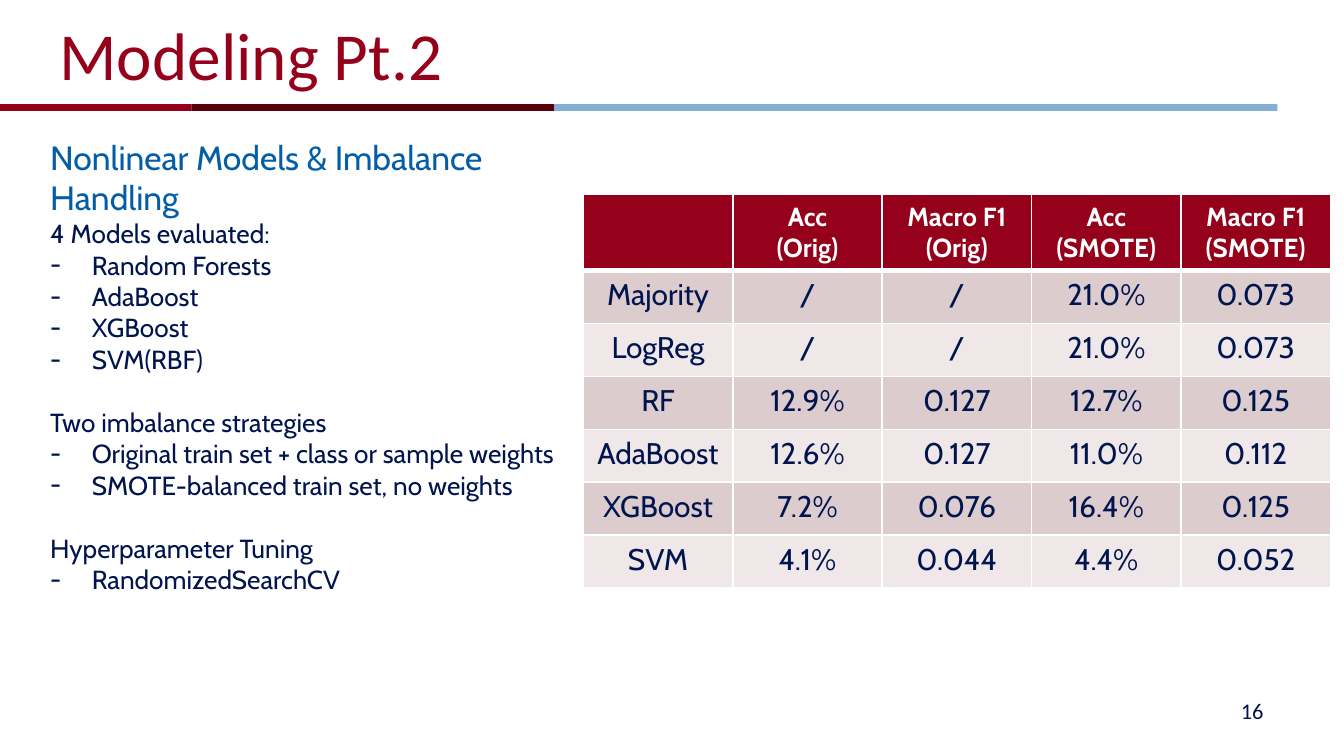
from lxml.etree import SubElement
from pptx import Presentation
from pptx.dml.color import RGBColor
from pptx.enum.shapes import MSO_SHAPE
from pptx.enum.text import MSO_ANCHOR, PP_ALIGN
from pptx.oxml.ns import qn
from pptx.util import Pt

PX = 4572
COLORS = {
    "crimson": "95001A",
    "maroon": "57000A",
    "sky": "82AFD3",
    "blue": "045EA7",
    "navy": "00144D",
    "white": "FFFFFF",
    "band_dark": "DDCCCD",
    "band_light": "EFE7E8",
}
BAR = [("crimson", 286), ("maroon", 540), ("sky", 1076)]
HEADER_BORDERS = {"a:lnL": 1, "a:lnR": 1, "a:lnT": 1, "a:lnB": 3}
HEADING = "Nonlinear Models & Imbalance Handling"
SECTIONS = [
    ("4 Models evaluated:", ["Random Forests", "AdaBoost", "XGBoost", "SVM(RBF)"]),
    ("Two imbalance strategies", ["Original train set + class or sample weights",
                                  "SMOTE-balanced train set, no weights"]),
    ("Hyperparameter Tuning", ["RandomizedSearchCV"]),
]
RESULTS = [
    ["", "Acc\n(Orig)", "Macro F1\n(Orig)", "Acc (SMOTE)", "Macro F1\n(SMOTE)"],
    ["Majority", "/", "/", "21.0%", "0.073"],
    ["LogReg", "/", "/", "21.0%", "0.073"],
    ["RF", "12.9%", "0.127", "12.7%", "0.125"],
    ["AdaBoost", "12.6%", "0.127", "11.0%", "0.112"],
    ["XGBoost", "7.2%", "0.076", "16.4%", "0.125"],
    ["SVM", "4.1%", "0.044", "4.4%", "0.052"],
]


def emu(*lengths):
    """Turn px lengths into EMU."""
    return [n * PX for n in lengths]


def rgb(name):
    """Look up a named colour."""
    return RGBColor.from_string(COLORS[name])


def style(p, size, color, font="Cabin", bold=False):
    """Format every run of a paragraph."""
    for r in p.runs:
        r.font.size, r.font.name, r.font.bold = Pt(size), font, bold
        r.font.color.rgb = rgb(color)


def add_box(s, x, y, w, h, anchor):
    """Add a wrapping text box and return its text frame."""
    tf = s.shapes.add_textbox(*emu(x, y, w, h)).text_frame
    tf.word_wrap = True
    tf.vertical_anchor = anchor
    return tf


def add_label(s, x, y, w, h, text, size, color, align):
    """Add a single line of Calibri text centred vertically."""
    p = add_box(s, x, y, w, h, MSO_ANCHOR.MIDDLE).paragraphs[0]
    p.text = text
    p.alignment = align
    style(p, size, color, "Calibri")


def add_bar(s, x, y, h):
    """Add the coloured segments of the rule end to end."""
    for color, w in BAR:
        sp = s.shapes.add_shape(MSO_SHAPE.RECTANGLE, *emu(x, y, w, h))
        sp.shadow.inherit = False
        sp.fill.solid()
        sp.fill.fore_color.rgb = rgb(color)
        sp.line.fill.background()
        x += w


def add_dash(p, indent):
    """Give a paragraph a hanging dash bullet."""
    pPr = p._p.get_or_add_pPr()
    pPr.set("marL", str(indent * PX))
    pPr.set("indent", str(-indent * PX))
    SubElement(pPr, qn("a:buFont"), typeface="Cabin")
    SubElement(pPr, qn("a:buChar"), char="-")


def add_notes_column(s, x, y, w, h):
    """Add the heading and the dashed sections."""
    tf = add_box(s, x, y, w, h, MSO_ANCHOR.TOP)
    tf.text = HEADING
    style(tf.paragraphs[0], 18, "blue")
    for i, (title, items) in enumerate(SECTIONS):
        p = tf.add_paragraph()
        p.text = title
        if i:
            p.space_before = Pt(17)
        style(p, 14, "navy")
        for item in items:
            p = tf.add_paragraph()
            add_dash(p, 62)
            p.text = item
            style(p, 14, "navy")


def add_header_borders(cell):
    """Outline a header cell in white with a heavy bottom edge."""
    tcPr = cell._tc.get_or_add_tcPr()
    for tag, width in HEADER_BORDERS.items():
        ln = SubElement(tcPr, qn(tag), w=str(Pt(width)))
        fill = SubElement(ln, qn("a:solidFill"))
        SubElement(fill, qn("a:srgbClr"), val=COLORS["white"])


def add_results_table(s, x, y, w, h):
    """Add the table of scores with a header and banded rows."""
    frame = s.shapes.add_table(len(RESULTS), len(RESULTS[0]), *emu(x, y, w, h))
    for i, row in enumerate(RESULTS):
        fill = ("band_light", "band_dark")[i % 2] if i else "crimson"
        for j, text in enumerate(row):
            cell = frame.table.cell(i, j)
            if i == 0:
                add_header_borders(cell)
            cell.fill.solid()
            cell.fill.fore_color.rgb = rgb(fill)
            cell.text_frame.text = text
            for p in cell.text_frame.paragraphs:
                p.alignment = PP_ALIGN.CENTER
                if i:
                    style(p, 16, "navy")
                else:
                    style(p, 14, "white", bold=True)


def main():
    """Build the slide and save it."""
    prs = Presentation()
    prs.slide_width, prs.slide_height = emu(2000, 1125)
    s = prs.slides.add_slide(prs.slide_layouts[6])
    add_bar(s, -1, 155, 10)
    add_label(s, 69, 4, 1800, 152, "Modeling Pt.2", 36, "crimson", PP_ALIGN.LEFT)
    add_label(s, 1434, 1028, 466, 60, "16", 12, "navy", PP_ALIGN.RIGHT)
    add_notes_column(s, 55, 194, 868, 646)
    add_results_table(s, 868, 289, 1112, 552)
    prs.save("out.pptx")


if __name__ == "__main__":
    main()
